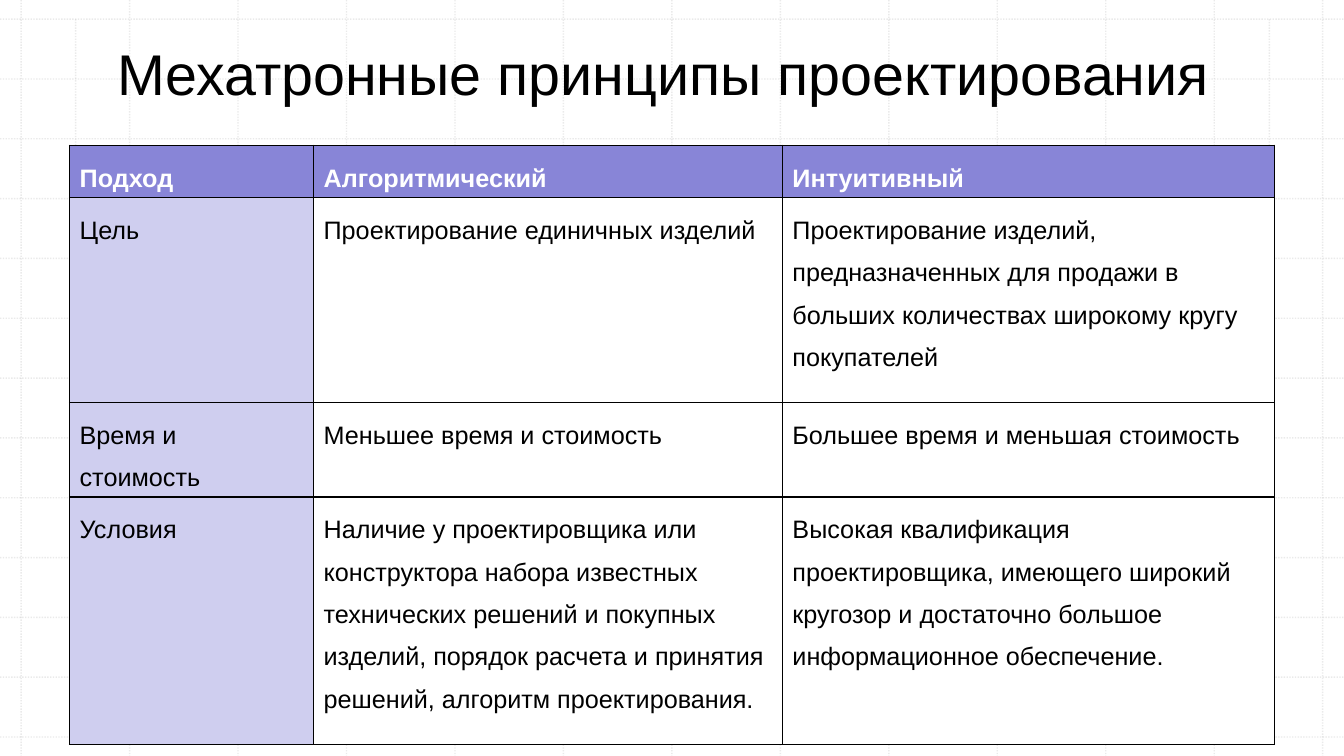
from lxml import etree
from pptx import Presentation
from pptx.dml.color import RGBColor
from pptx.enum.dml import MSO_LINE
from pptx.enum.shapes import MSO_CONNECTOR
from pptx.enum.text import MSO_ANCHOR as ANCHOR, PP_ALIGN as ALIGN
from pptx.oxml import parse_xml
from pptx.oxml.ns import nsdecls, qn
from pptx.util import Inches, Pt

BLACK = RGBColor(0x00, 0x00, 0x00)
WHITE = RGBColor(0xFF, 0xFF, 0xFF)
GRID_GREY = RGBColor(0xBC, 0xBC, 0xBC)
HEADER_FILL = RGBColor(0x88, 0x85, 0xD7)
LABEL_FILL = RGBColor(0xCF, 0xCE, 0xEF)

WIDTH, HEIGHT = 13.33, 7.5
COLUMNS = [2.42, 4.65, 4.88]
ROWS = [0.51, 2.03, 0.62, 2.46]
APPROACHES = [
    ["Подход", "Алгоритмический", "Интуитивный"],
    ["Цель", "Проектирование единичных изделий",
     "Проектирование изделий, предназначенных для продажи в больших "
     "количествах широкому кругу покупателей"],
    ["Время и стоимость", "Меньшее время и стоимость",
     "Большее время и меньшая стоимость"],
    ["Условия",
     "Наличие у проектировщика или конструктора набора известных технических "
     "решений и покупных изделий, порядок расчета и принятия решений, "
     "алгоритм проектирования.",
     "Высокая квалификация проектировщика, имеющего широкий кругозор и "
     "достаточно большое информационное обеспечение."],
]


def write(tf, text, size=18, color=BLACK, bold=False, align=ALIGN.LEFT,
          spacing=1.0, anchor=ANCHOR.TOP):
    tf.word_wrap = True
    tf.vertical_anchor = anchor
    p = tf.paragraphs[0]
    p.alignment, p.line_spacing = align, spacing
    r = p.add_run()
    r.text = text
    r.font.name, r.font.size, r.font.bold = "Arial", Pt(size), bold
    r.font.color.rgb = color


class SlideBuilder:
    """Draw the elements of one slide in a shared style."""

    def __init__(self, prs):
        self.s = prs.slides.add_slide(prs.slide_layouts[5])
        self.s.background.fill.solid()
        self.s.background.fill.fore_color.rgb = WHITE

    def grid_line(self, x1, y1, x2, y2):
        line = self.s.shapes.add_connector(
            MSO_CONNECTOR.STRAIGHT, Inches(x1), Inches(y1), Inches(x2), Inches(y2))
        line.line.width = Pt(1)
        line.line.color.rgb = GRID_GREY
        line.line.dash_style = MSO_LINE.ROUND_DOT
        sp_pr = line._element.spPr
        color = sp_pr.find(".//" + qn("a:srgbClr"))
        etree.SubElement(color, qn("a:alpha"), val="30000")
        etree.SubElement(sp_pr, qn("a:effectLst"))

    def grid(self):
        for i in range(13):
            x = 0.21 + 1.0757 * i
            self.grid_line(x, 0, x, HEIGHT)
        for i in range(13):
            y = 0.19 + 0.5935 * i
            self.grid_line(0, y, WIDTH, y)
        for x in (0.75, 12.59):
            self.grid_line(x, 0.19, x, 7.31)

    def title(self, text):
        sp = self.s.shapes.title
        sp.left, sp.top = Inches(0), Inches(0.32)
        sp.width, sp.height = Inches(WIDTH), Inches(0.79)
        write(sp.text_frame, text, size=41, align=ALIGN.CENTER, anchor=ANCHOR.MIDDLE)
        self.s.shapes._spTree.append(sp._element)

    def borders(self, cell):
        tc_pr = cell._tc.get_or_add_tcPr()
        for i, side in enumerate(("lnL", "lnR", "lnT", "lnB")):
            tc_pr.insert(i, parse_xml(
                f'<a:{side} {nsdecls("a")} w="{Pt(1)}"><a:solidFill>'
                f'<a:srgbClr val="{BLACK}"/></a:solidFill></a:{side}>'))

    def table(self, x, y, columns, rows, texts):
        table = self.s.shapes.add_table(
            len(rows), len(columns), Inches(x), Inches(y),
            Inches(sum(columns)), Inches(sum(rows))).table
        for column, width in zip(table.columns, columns):
            column.width = Inches(width)
        for i, row in enumerate(table.rows):
            row.height = Inches(rows[i])
            for j, cell in enumerate(row.cells):
                header = i == 0
                write(cell.text_frame, texts[i][j], spacing=1.5, bold=header,
                      color=WHITE if header else BLACK)
                cell.vertical_anchor = ANCHOR.MIDDLE if header else ANCHOR.TOP
                cell.fill.solid()
                cell.fill.fore_color.rgb = (
                    HEADER_FILL if header else WHITE if j else LABEL_FILL)
                self.borders(cell)


def main():
    prs = Presentation()
    prs.slide_width, prs.slide_height = Inches(WIDTH), Inches(HEIGHT)
    slide = SlideBuilder(prs)
    slide.grid()
    slide.title("Мехатронные принципы проектирования ")
    slide.table(0.69, 1.44, COLUMNS, ROWS, APPROACHES)
    prs.save("out.pptx")


if __name__ == "__main__":
    main()
